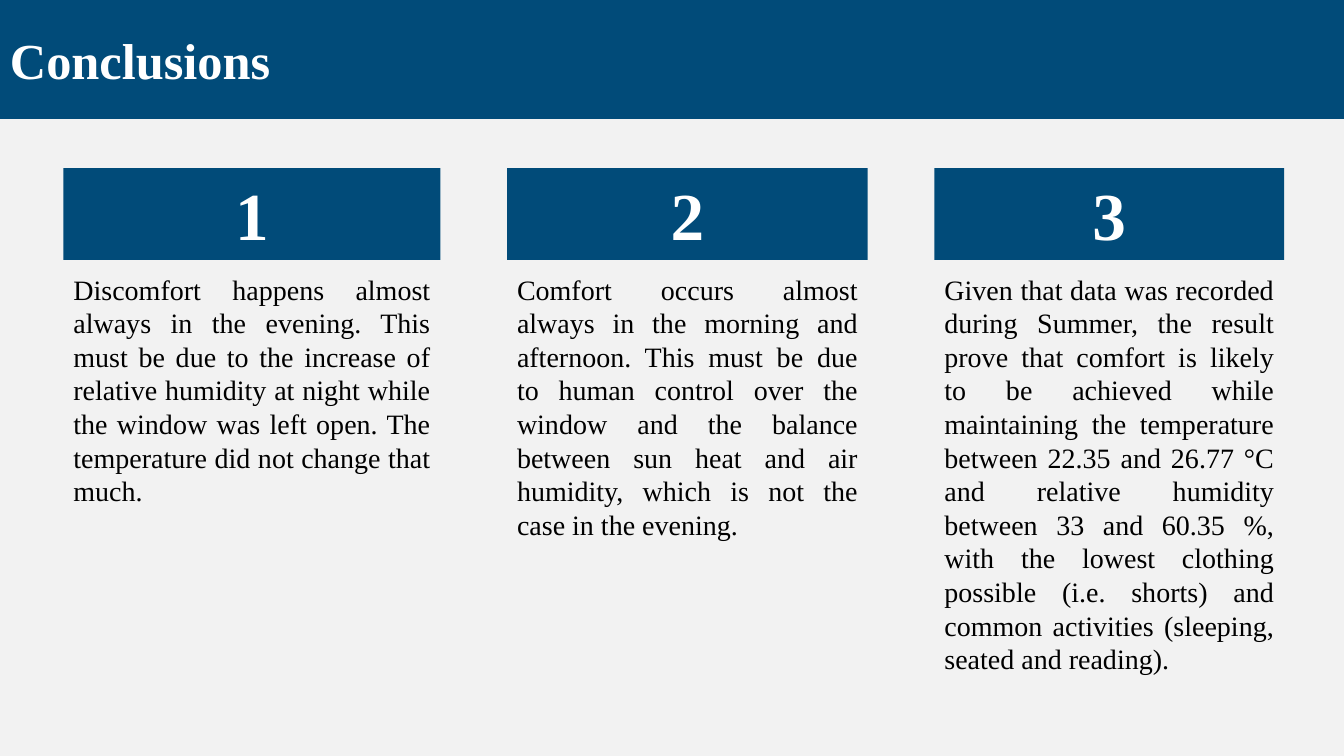
from pptx import Presentation
from pptx.dml.color import RGBColor
from pptx.enum import shapes, text
from pptx.util import Cm, Pt

TITLE = "Conclusions"
# (column width, text height, conclusion), lengths in cm
CONCLUSIONS = [
    (9.5, 6.25, "Discomfort happens almost always in the evening. This must be due to "
     "the increase of relative humidity at night while the window was left open. "
     "The temperature did not change that much."),
    (9.09, 7.09, "Comfort occurs almost always in the morning and afternoon. This must be "
     "due to human control over the window and the balance between sun heat and air "
     "humidity, which is not the case in the evening."),
    (8.81, 10.52, "Given that data was recorded during Summer, the result prove that comfort "
     "is likely to be achieved while maintaining the temperature between 22.35 and "
     "26.77 °C and relative humidity between 33 and 60.35 %, with the lowest clothing "
     "possible (i.e. shorts) and common activities (sleeping, seated and reading)."),
]

FONT = "Times New Roman"
BLUE = RGBColor(0x01, 0x4B, 0x79)
WHITE = RGBColor(0xFF, 0xFF, 0xFF)
BLACK = RGBColor(0, 0, 0)
PALE_GREY = RGBColor(0xF2, 0xF2, 0xF2)

SLIDE_WIDTH, SLIDE_HEIGHT = 33.87, 19.05
TITLE_HEIGHT = 3
FIRST_LEFT, COLUMN_GAP = 1.6, 1.68
NUMBER_TOP, NUMBER_HEIGHT = 4.24, 2.31
TEXT_TOP = 6.73


def write(shape, content, size, color, alignment, anchor, bold=False):
    frame = shape.text_frame
    frame.text = content
    frame.word_wrap = True
    frame.vertical_anchor = anchor
    paragraph = frame.paragraphs[0]
    paragraph.alignment = alignment
    font = paragraph.runs[0].font
    font.name, font.size, font.bold = FONT, Pt(size), bold
    font.color.rgb = color


def add_band(slide, left, top, width, height):
    band = slide.shapes.add_shape(
        shapes.MSO_SHAPE.RECTANGLE, Cm(left), Cm(top), Cm(width), Cm(height))
    band.shadow.inherit = False
    band.fill.solid()
    band.fill.fore_color.rgb = BLUE
    band.line.fill.background()
    return band


def main():
    presentation = Presentation()
    presentation.slide_width = Cm(SLIDE_WIDTH)
    presentation.slide_height = Cm(SLIDE_HEIGHT)
    slide = presentation.slides.add_slide(presentation.slide_layouts[6])
    slide.background.fill.solid()
    slide.background.fill.fore_color.rgb = PALE_GREY

    align, anchor = text.PP_ALIGN, text.MSO_ANCHOR
    title = add_band(slide, 0, 0, SLIDE_WIDTH, TITLE_HEIGHT)
    write(title, TITLE, 36, WHITE, align.LEFT, anchor.MIDDLE, bold=True)

    left = FIRST_LEFT
    for number, (width, height, conclusion) in enumerate(CONCLUSIONS, start=1):
        header = add_band(slide, left, NUMBER_TOP, width, NUMBER_HEIGHT)
        write(header, str(number), 48, WHITE, align.CENTER, anchor.TOP, bold=True)
        body = slide.shapes.add_textbox(Cm(left), Cm(TEXT_TOP), Cm(width), Cm(height))
        write(body, conclusion, 20, BLACK, align.JUSTIFY, anchor.TOP)
        left += width + COLUMN_GAP

    presentation.save("out.pptx")


if __name__ == "__main__":
    main()
